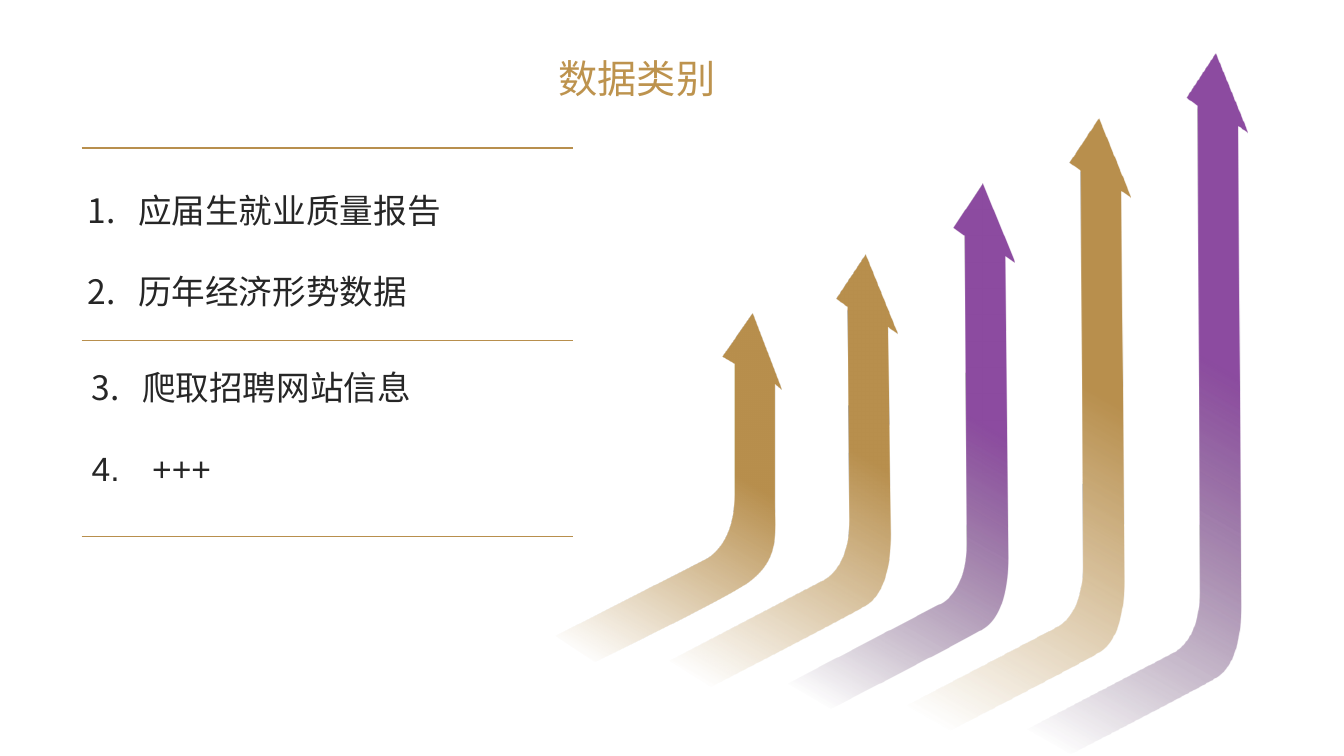
from lxml.etree import SubElement
from pptx import Presentation
from pptx.dml.color import RGBColor
from pptx.enum.shapes import MSO_CONNECTOR
from pptx.enum.text import MSO_ANCHOR, MSO_AUTO_SIZE, PP_ALIGN
from pptx.oxml.ns import qn
from pptx.util import Inches, Pt

GOLD, PURPLE, DARK_PURPLE = "B88F4D", "8C4BA0", "3E2146"
TITLE_GOLD, TEXT = "BD934E", "262626"

# Outlines in three parts: inner bend and head edge, head, outer bend.
# Bends are measured from the tail corner, the head from the tip's height.
TALL = (
    [(0, 0), (1.51, -0.79), (1.51, -0.79), (1.78, -0.89), (1.78, -1.39)],
    [(1.76, 0.52), (1.65, 0.44), (1.94, 0), (2.26, 0.79), (2.16, 0.72)],
    [(2.19, -1.25), (2.19, -0.99), (2.14, -0.65), (1.93, -0.54),
     (1.73, -0.42), (0.41, 0.26), (0.41, 0.26)],
)
SHORT = (
    [(0, 0), (1.49, -0.76), (1.49, -0.76), (1.77, -0.89), (1.77, -1.39)],
    [(1.77, 0.5), (1.65, 0.43), (1.95, 0), (2.24, 0.76), (2.17, 0.7)],
    [(2.17, -1.33), (2.17, -1), (2.22, -0.76), (1.91, -0.53),
     (1.73, -0.39), (0.39, 0.26), (0.39, 0.26)],
)
# Where each curve's three points begin, counted after the first point
CURVE_STARTS = (1, 10, 13)

# Outline, tail corner x and y, tip y, solid colour, faded colour
ARROWS = [
    (TALL, 7.8, 6.78, 1.82, PURPLE, DARK_PURPLE),
    (TALL, 8.95, 7.02, 1.18, GOLD, GOLD),
    (TALL, 10.11, 7.26, 0.53, PURPLE, DARK_PURPLE),
    (SHORT, 5.51, 6.3, 3.11, GOLD, GOLD),
    (TALL, 6.64, 6.55, 2.53, GOLD, GOLD),
]


def rgb(color):
    return RGBColor.from_string(color)


def round_bends(sp):
    """Turn the points of each bend into one cubic curve."""
    segments = list(sp._element.iter(qn("a:lnTo")))
    for start in CURVE_STARTS:
        first, *others = segments[start:start + 3]
        first.tag = qn("a:cubicBezTo")
        for segment in others:
            first.append(segment[0])
            segment.getparent().remove(segment)


def add_arrow(s, outline, x, y, tip, solid, faded):
    points = [(Inches(x + dx), Inches(base + dy))
              for part, base in zip(outline, (y, tip, y))
              for dx, dy in part]
    builder = s.shapes.build_freeform(*points[0])
    builder.add_line_segments(points[1:], close=True)
    sp = builder.convert_to_shape()
    bend_segments = sp._element.iter(qn("a:lnTo"))
    if bend_segments:
        round_bends(sp)
    sp.shadow.inherit = False
    sp.line.fill.background()
    sp.fill.gradient()
    sp.fill.gradient_angle = 240
    start, end = sp.fill.gradient_stops
    start.position, end.position = 0.39, 0.96
    start.color.rgb, end.color.rgb = rgb(solid), rgb(faded)
    # Fade the tail to fully transparent
    last_color = list(sp._element.spPr.iter(qn("a:srgbClr")))[-1]
    SubElement(last_color, qn("a:alpha"), val="0")


def add_rule(s, y):
    line = s.shapes.add_connector(MSO_CONNECTOR.STRAIGHT, Inches(0.81),
                                  Inches(y), Inches(5.68), Inches(y))
    line.line.color.rgb = rgb(GOLD)
    line.line.width = Pt(1)
    SubElement(line._element.spPr, qn("a:effectLst"))


def place(sp, left, top, width, height):
    sp.left, sp.top = Inches(left), Inches(top)
    sp.width, sp.height = Inches(width), Inches(height)
    tf = sp.text_frame
    tf.word_wrap = True
    tf.auto_size = MSO_AUTO_SIZE.NONE
    tf.vertical_anchor = MSO_ANCHOR.TOP
    return tf


def add_run(p, text, size, color):
    p.alignment = PP_ALIGN.LEFT
    r = p.add_run()
    r.text = text
    r.font.size = Pt(size)
    r.font.name = "Arial"
    r.font.color.rgb = rgb(color)


def fill_list(tf, items, first):
    """Numbered items given as (text, hanging indent)."""
    for i, (text, indent) in enumerate(items):
        p = tf.paragraphs[0] if i == 0 else tf.add_paragraph()
        pPr = p._p.get_or_add_pPr()
        pPr.set("marL", str(Inches(indent)))
        pPr.set("indent", str(-Inches(indent)))
        SubElement(pPr, qn("a:buFont"), typeface="+mj-lt")
        SubElement(pPr, qn("a:buAutoNum"), type="arabicPeriod",
                   startAt=str(first + i))
        p.space_before = Pt(29 if i else 0)
        add_run(p, text, 24, TEXT)


def main():
    prs = Presentation()
    prs.slide_width, prs.slide_height = Inches(13.33), Inches(7.5)
    s = prs.slides.add_slide(prs.slide_layouts[3])
    title, upper, lower = s.placeholders

    # Rising arrows
    for arrow in ARROWS:
        add_arrow(s, *arrow)

    # Rules around the lists
    for y in (1.47, 3.38, 5.32):
        add_rule(s, y)

    # Title and numbered lists
    tf = place(title, 5.44, 0.49, 1.77, 0.57)
    add_run(tf.paragraphs[0], "数据类别", 28, TITLE_GOLD)
    fill_list(place(upper, 0.77, 1.83, 3.74, 1.31),
              [("应届生就业质量报告", 0.5), ("历年经济形势数据", 0.5)], 1)
    fill_list(place(lower, 0.81, 3.59, 3.4, 1.31),
              [("爬取招聘网站信息", 0.5), ("+++", 0.6)], 3)

    prs.save("out.pptx")


if __name__ == "__main__":
    main()
